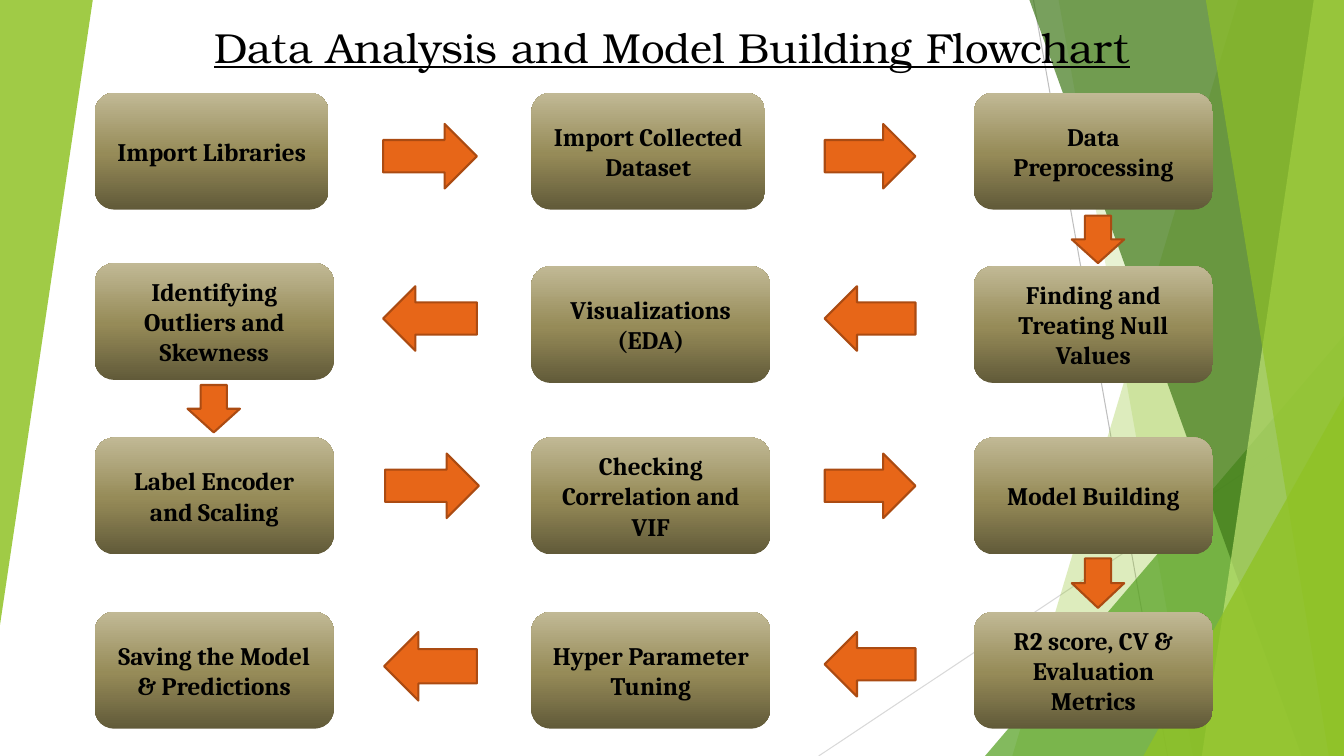
"""Builds a one-slide flowchart of data analysis and model building."""
import copy

import pptx
import pptx.dml.color
import pptx.enum.shapes
import pptx.enum.text
import pptx.oxml
import pptx.oxml.ns
import pptx.util

SCALE = 9144
WIDTH, HEIGHT = 1333, 750
SHAPES = pptx.enum.shapes.MSO_SHAPE

TITLE = "Data Analysis and Model Building Flowchart"
STEPS = [
    ["Import Libraries", "Import Collected Dataset", "Data Preprocessing"],
    ["Identifying Outliers and Skewness", "Visualizations\n(EDA)", "Finding and Treating Null Values"],
    ["Label Encoder and Scaling", "Checking Correlation and VIF", "Model Building"],
    ["Saving the Model & Predictions", "Hyper Parameter Tuning", "R2 score, CV & Evaluation Metrics"],
]
STEP_LEFTS = [94, 527, 966]
STEP_TOPS = [92, 264, 434, 607]
STEP_SIZE = (237, 116)
STEP_EXCEPTIONS = {(0, 0): (94, 92, 232, 116), (0, 1): (527, 92, 232, 116), (1, 0): (94, 261, 237, 116)}
STEP_GRADIENT = [(0, "615A39"), (0.48, "968B58"), (1, "C1B995")]

ARROW_COLUMNS = [(380, 93), (818, 90)]
ARROW_TOPS = [123, 284, 450, 627]
ARROW_HEIGHT = 64
ARROW_EXCEPTIONS = {(2, 0): (382, 450, 93, 64), (3, 0): (381, 627, 92, 68)}
DOWN_ARROWS = [(1063, 214, 52, 47), (186, 382, 52, 47), (1063, 554, 52, 49)]

HAIRLINES = [((1025, 0), (1158, 750), "BFBFBF"), ((1333, 403), (812, 750), "D9D9D9")]
FACETS = [
    ([(1228, 0), (1333, 0), (1333, 750), (1004, 750)], "90C226", 30),
    ([(1050, 0), (1333, 0), (1333, 750), (1183, 750)], "90C226", 20),
    ([(1333, 333), (1333, 750), (977, 750)], "54A021", 72),
    ([(1021, 0), (1333, 0), (1333, 750), (1291, 750)], "3F7819", 70),
    ([(1303, 0), (1333, 0), (1333, 750), (1192, 750)], "C0E474", 70),
    ([(1196, 0), (1333, 0), (1333, 750), (1318, 750)], "90C226", 65),
    ([(1333, 393), (1333, 750), (1134, 750)], "90C226", 80),
    ([(0, 0), (92, 0), (0, 620)], "90C226", 85),
]


def px(*lengths):
    return [length * SCALE for length in lengths]


def color(value):
    return pptx.dml.color.RGBColor.from_string(value)


def add_hairline(page, start, end, line_color):
    line = page.shapes.add_connector(pptx.enum.shapes.MSO_CONNECTOR.STRAIGHT, *px(*start, *end))
    line.line.color.rgb = color(line_color)
    line.line.width = pptx.util.Pt(0.75)
    line._element.spPr.append(pptx.oxml.parse_xml(
        f'<a:effectLst {pptx.oxml.ns.nsdecls("a")}/>'))


def add_facet(page, points, fill_color, opacity):
    builder = page.shapes.build_freeform(*points[0], scale=SCALE)
    builder.add_line_segments(points[1:], close=True)
    facet = builder.convert_to_shape()
    facet.shadow.inherit = False
    facet.line.fill.background()
    facet.fill.solid()
    facet.fill.fore_color.rgb = color(fill_color)
    tone = facet._element.spPr.find(".//" + pptx.oxml.ns.qn("a:srgbClr"))
    tone.append(pptx.oxml.parse_xml(
        f'<a:alpha {pptx.oxml.ns.nsdecls("a")} val="{opacity * 1000}"/>'))


def add_arrow(page, kind, place):
    arrow = page.shapes.add_shape(kind, *px(*place))
    arrow.shadow.inherit = False
    arrow.fill.solid()
    arrow.fill.fore_color.rgb = color("E76618")
    arrow.line.color.rgb = color("AB4B12")
    arrow.line.width = pptx.util.Pt(1.5)


def set_text(box, text, font_name, size, bold=False, underline=False):
    frame = box.text_frame
    frame.word_wrap = True
    frame.text = text
    for para in frame.paragraphs:
        para.alignment = pptx.enum.text.PP_ALIGN.CENTER
        for span in para.runs:
            span.font.name = font_name
            span.font.size = pptx.util.Pt(size)
            span.font.bold = bold
            span.font.underline = underline
            span.font.color.rgb = color("000000")


def add_step(page, text, place):
    box = page.shapes.add_shape(SHAPES.FLOWCHART_ALTERNATE_PROCESS, *px(*place))
    box.shadow.inherit = False
    box.line.fill.background()
    box.fill.gradient()
    box.fill.gradient_angle = 90
    stop_list = box._element.spPr.find(".//" + pptx.oxml.ns.qn("a:gsLst"))
    stop_list.append(copy.deepcopy(stop_list[0]))
    for stop, (position, stop_color) in zip(box.fill.gradient_stops, STEP_GRADIENT):
        stop.position = position
        stop.color.rgb = color(stop_color)
    box.text_frame.vertical_anchor = pptx.enum.text.MSO_ANCHOR.MIDDLE
    set_text(box, text, "Cambria", 18, bold=True)


def main():
    deck = pptx.Presentation()
    deck.slide_width, deck.slide_height = px(WIDTH, HEIGHT)
    page = deck.slides.add_slide(deck.slide_layouts[6])

    for hairline in HAIRLINES:
        add_hairline(page, *hairline)
    for facet in FACETS:
        add_facet(page, *facet)

    title = page.shapes.add_textbox(*px(0, 16, WIDTH, 61))
    set_text(title, TITLE, "TeX Gyre Bonum", 30, underline=True)

    for row, top in enumerate(ARROW_TOPS):
        kind = SHAPES.LEFT_ARROW if row % 2 else SHAPES.RIGHT_ARROW
        for column, (left, width) in enumerate(ARROW_COLUMNS):
            place = (left, top, width, ARROW_HEIGHT)
            add_arrow(page, kind, ARROW_EXCEPTIONS.get((row, column), place))
    for place in DOWN_ARROWS:
        add_arrow(page, SHAPES.DOWN_ARROW, place)

    for row, texts in enumerate(STEPS):
        for column, text in enumerate(texts):
            place = (STEP_LEFTS[column], STEP_TOPS[row], *STEP_SIZE)
            add_step(page, text, STEP_EXCEPTIONS.get((row, column), place))

    deck.save("out.pptx")


if __name__ == "__main__":
    main()
